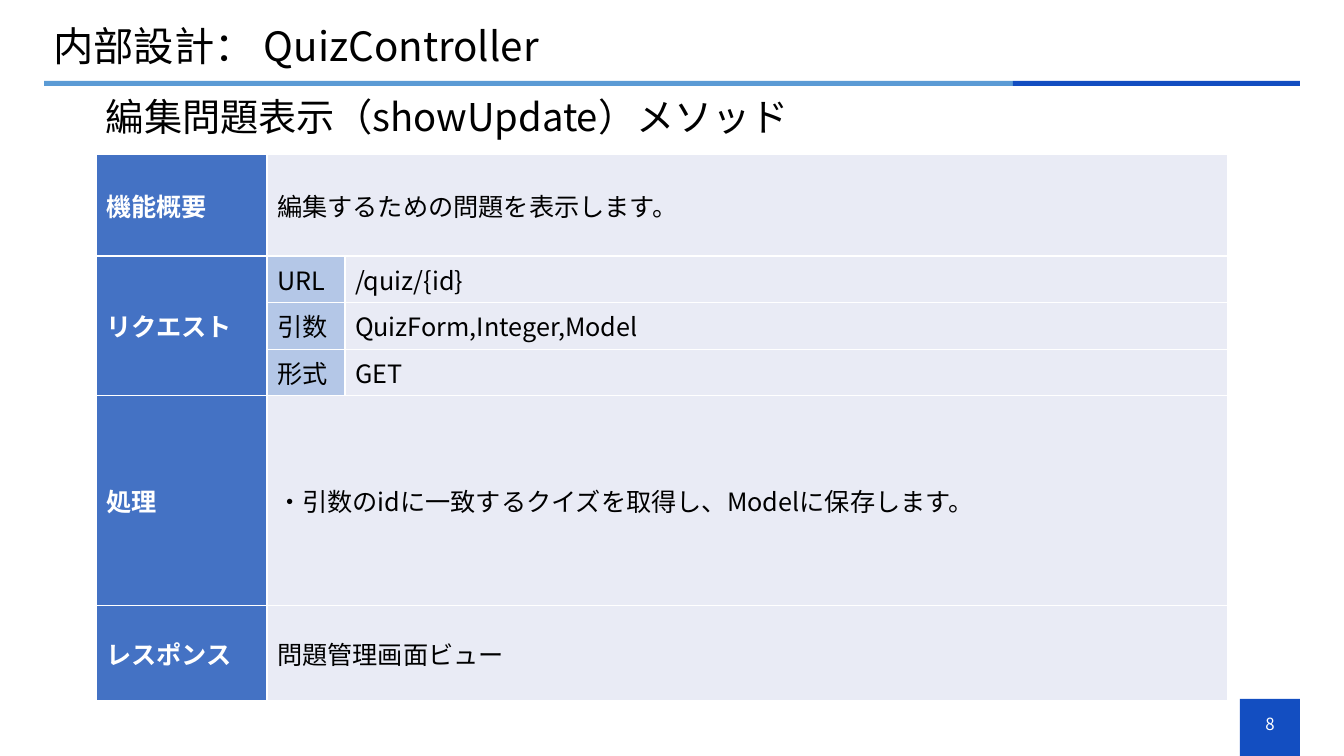
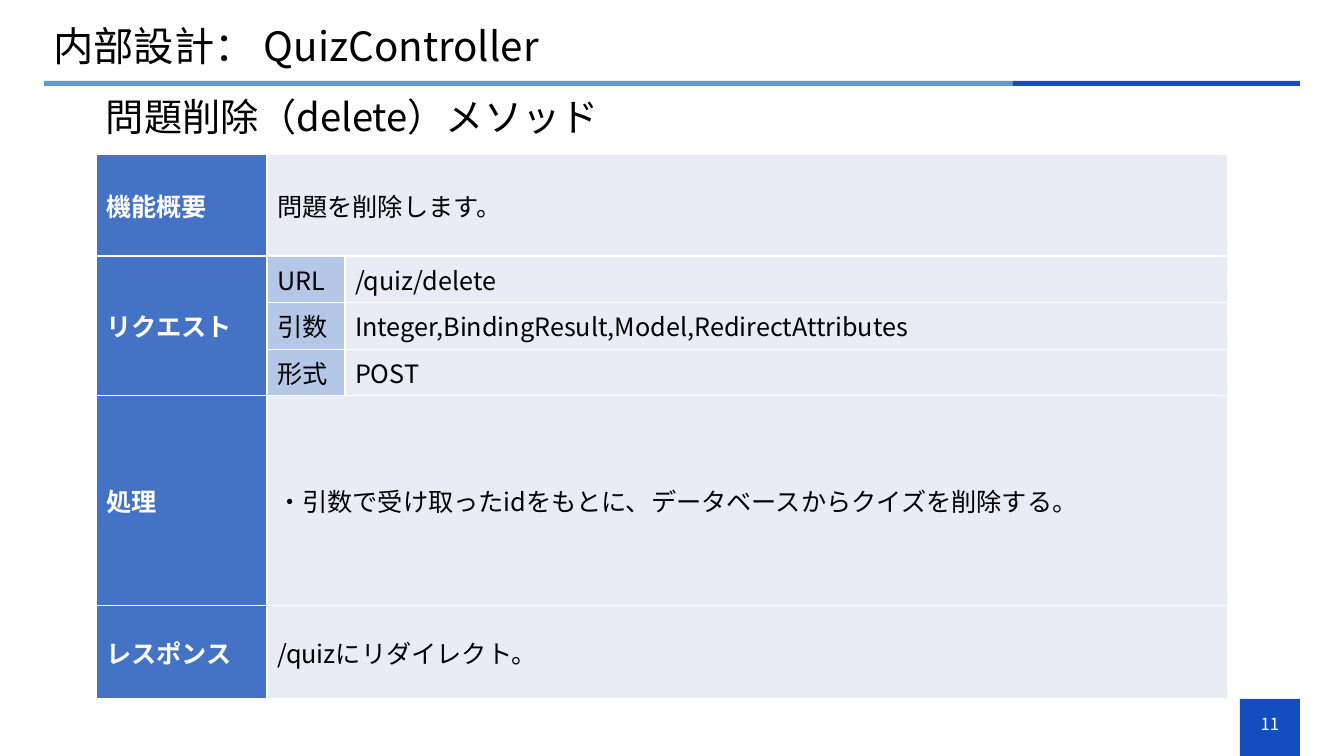
import pptx
import pptx.util
import pptx.dml.color
import pptx.enum.shapes
import pptx.enum.text
import pptx.oxml
import pptx.oxml.ns
from dataclasses import dataclass
from typing import NamedTuple


@dataclass(frozen=True)
class Theme:
    font: str = "Noto Sans CJK JP"
    ink: str = "000000"
    white: str = "FFFFFF"
    navy: str = "134EC1"
    sky: str = "5B9BD5"
    heading_fill: str = "4472C4"
    label_fill: str = "B4C7E7"
    value_fill: str = "E9EBF5"
    title_size: float = 28.8
    subtitle_size: float = 27.3
    table_size: float = 18
    number_size: float = 12
    border_width: float = 1


class Box(NamedTuple):
    left: int
    top: int
    width: int
    height: int


class Method(NamedTuple):
    number: int
    heading: str
    summary: str
    url: str
    arguments: str
    verb: str
    process: str
    response: str
    response_height: int


THEME = Theme()
MIDDLE = pptx.enum.text.MSO_ANCHOR.MIDDLE
LEFT = pptx.enum.text.PP_ALIGN.LEFT
CENTER = pptx.enum.text.PP_ALIGN.CENTER

SLIDE = Box(0, 0, 1344, 756)
TITLE = Box(43, 21, 1256, 55)
RULE = Box(44, 81, 1256, 5)
RULE_SPLIT = 969
BADGE = Box(1240, 699, 60, 57)
NUMBER = Box(1240, 704, 60, 40)
SUBTITLE = Box(96, 92, 1204, 55)
TABLE = Box(96, 154, 1132, 546)
COLUMNS = (171, 78, 883)
SUMMARY_HEIGHT, REQUEST_HEIGHT, PROCESS_HEIGHT = 102, 46, 210

PAGE_TITLE = "内部設計： QuizController"
METHODS = (
    Method(8, "編集問題表示（showUpdate）メソッド", "編集するための問題を表示します。",
           "/quiz/{id}", "QuizForm,Integer,Model", "GET",
           "・引数のidに一致するクイズを取得し、Modelに保存します。",
           "問題管理画面ビュー", 95),
    Method(11, "問題削除（delete）メソッド", "問題を削除します。",
           "/quiz/delete", "Integer,BindingResult,Model,RedirectAttributes", "POST",
           "・引数で受け取ったidをもとに、データベースからクイズを削除する。",
           "/quizにリダイレクト。", 93),
)


def px(count):
    return pptx.util.Emu(round(count * 914400 / 100.8))


def emu(box):
    return [px(length) for length in box]


def rgb(code):
    return pptx.dml.color.RGBColor.from_string(code)


def write(frame, text, size, color, bold=False, align=LEFT, spacing=1.0):
    """Set one formatted paragraph in Latin and East Asian type."""
    frame.text = text
    para = frame.paragraphs[0]
    para.alignment = align
    para.line_spacing = spacing
    for span in para.runs:
        span.font.size = pptx.util.Pt(size)
        span.font.bold = bold
        span.font.color.rgb = rgb(color)
        span.font.name = THEME.font
        latin = span.font._element.find(pptx.oxml.ns.qn("a:latin"))
        latin.addnext(pptx.oxml.parse_xml(
            f'<a:ea {pptx.oxml.ns.nsdecls("a")} typeface="{THEME.font}"/>'))


def fit_frame(frame):
    frame.word_wrap = True
    frame.auto_size = pptx.enum.text.MSO_AUTO_SIZE.NONE
    frame.vertical_anchor = MIDDLE


def add_text(page, box, text, size, color, **style):
    frame = page.shapes.add_textbox(*emu(box)).text_frame
    fit_frame(frame)
    write(frame, text, size, color, **style)


def add_band(page, box, color):
    band = page.shapes.add_shape(pptx.enum.shapes.MSO_SHAPE.RECTANGLE, *emu(box))
    band.shadow.inherit = False
    band.fill.solid()
    band.fill.fore_color.rgb = rgb(color)
    band.line.fill.background()
    return band


def share_bands(page):
    """Draw the rule and the number badge, then hand them to the layout."""
    left_rule = RULE._replace(width=RULE_SPLIT)
    right_rule = RULE._replace(left=RULE.left + RULE_SPLIT, width=RULE.width - RULE_SPLIT)
    bands = [add_band(page, box, color) for box, color in (
        (BADGE, THEME.navy), (left_rule, THEME.sky), (right_rule, THEME.navy))]
    for shape_id, band in enumerate(bands, start=101):
        band.element.xpath(".//p:cNvPr")[0].set("id", str(shape_id))
        page.slide_layout.shapes.element.append(band.element)


def add_header(page, box, text):
    title = page.shapes.title
    title.left, title.top, title.width, title.height = emu(box)
    fit_frame(title.text_frame)
    write(title.text_frame, text, THEME.title_size, THEME.ink, spacing=0.9)


def fill_cell(cell, text, fill, color=THEME.ink, bold=False):
    properties = cell._tc.get_or_add_tcPr()
    for side in ("lnL", "lnR", "lnT", "lnB"):
        properties.append(pptx.oxml.parse_xml(
            f'<a:{side} {pptx.oxml.ns.nsdecls("a")} w="{pptx.util.Pt(THEME.border_width)}">'
            f'<a:solidFill><a:srgbClr val="{THEME.white}"/></a:solidFill></a:{side}>'))
    cell.fill.solid()
    cell.fill.fore_color.rgb = rgb(fill)
    cell.vertical_anchor = MIDDLE
    write(cell.text_frame, text, THEME.table_size, color, bold)


def add_method_table(page, box, method):
    # Heading, label and value of each row; an empty text is covered by a merge
    rows = (
        ("機能概要", method.summary, "", SUMMARY_HEIGHT),
        ("リクエスト", "URL", method.url, REQUEST_HEIGHT),
        ("", "引数", method.arguments, REQUEST_HEIGHT),
        ("", "形式", method.verb, REQUEST_HEIGHT),
        ("処理", method.process, "", PROCESS_HEIGHT),
        ("レスポンス", method.response, "", method.response_height),
    )
    box = box._replace(height=sum(row[-1] for row in rows))
    table = page.shapes.add_table(len(rows), len(COLUMNS), *emu(box)).table
    table.first_row = table.horz_banding = False
    for column, width in zip(table.columns, COLUMNS):
        column.width = px(width)

    for index, (heading, label, value, height) in enumerate(rows):
        table.rows[index].height = px(height)
        heading_cell, label_cell, value_cell = table.rows[index].cells
        fill_cell(heading_cell, heading, THEME.heading_fill, THEME.white, bold=True)
        fill_cell(label_cell, label, THEME.label_fill if value else THEME.value_fill)
        fill_cell(value_cell, value, THEME.value_fill)
        if not value:
            label_cell.merge(value_cell)
    table.cell(1, 0).merge(table.cell(3, 0))


def add_method_page(deck, layout, method):
    page = deck.slides.add_slide(layout)
    add_header(page, TITLE, PAGE_TITLE)
    add_text(page, NUMBER, str(method.number), THEME.number_size, THEME.white, align=CENTER)
    add_text(page, SUBTITLE, method.heading, THEME.subtitle_size, THEME.ink, spacing=0.9)
    add_method_table(page, TABLE, method)
    return page


def main():
    deck = pptx.Presentation()
    deck.slide_width, deck.slide_height = px(SLIDE.width), px(SLIDE.height)
    layout = deck.slide_layouts.get_by_name("Title Only")
    pages = [add_method_page(deck, layout, method) for method in METHODS]
    share_bands(pages[0])
    deck.save("out.pptx")


if __name__ == "__main__":
    main()
